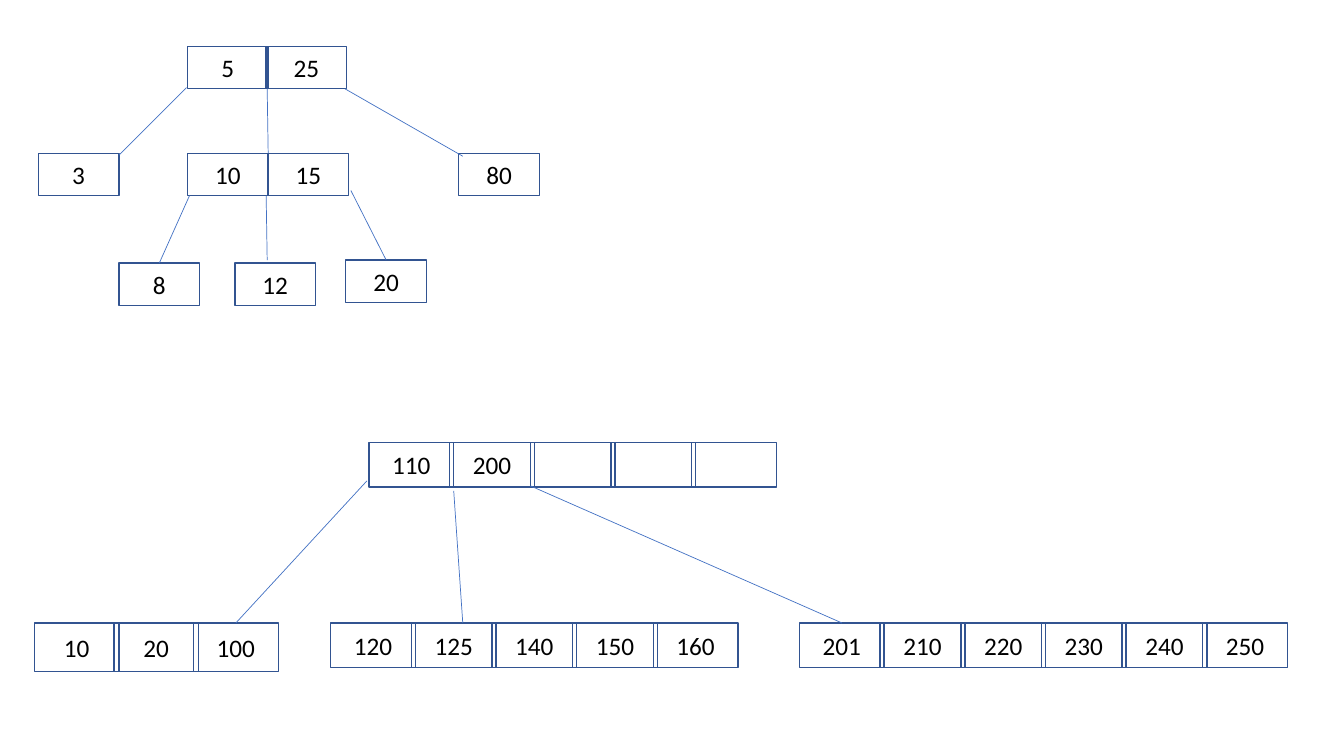
"""Draw a 2-3 tree above a wider B-tree as rows of key cells."""
import dataclasses

import pptx
import pptx.dml.color
import pptx.enum.shapes
import pptx.enum.text
import pptx.oxml
import pptx.util

Inches = pptx.util.Inches


@dataclasses.dataclass(frozen=True)
class Theme:
    font: str = "Calibri"
    size: float = 18
    ink: str = "000000"
    edge: str = "325491"
    link: str = "4472C4"
    border: float = 1
    thin: float = 0.5


THEME = Theme()


def color(code):
    return pptx.dml.color.RGBColor.from_string(code)


def add_cell(slide, left, top, width, height, key):
    kind = pptx.enum.shapes.MSO_SHAPE.RECTANGLE
    cell = slide.shapes.add_shape(
        kind, Inches(left), Inches(top), Inches(width), Inches(height))
    cell.shadow.inherit = False
    cell.fill.background()
    cell.line.color.rgb = color(THEME.edge)
    cell.line.width = pptx.util.Pt(THEME.border)
    if key:
        frame = cell.text_frame
        frame.text = key
        frame.vertical_anchor = pptx.enum.text.MSO_ANCHOR.MIDDLE
        para = frame.paragraphs[0]
        para.alignment = pptx.enum.text.PP_ALIGN.CENTER
        font = para.runs[0].font
        font.name = THEME.font
        font.size = pptx.util.Pt(THEME.size)
        font.color.rgb = color(THEME.ink)
    return cell


def add_node(slide, left, top, keys, width=0.8, height=0.42, step=0.8):
    return [add_cell(slide, left + i * step, top, width, height, key)
            for i, key in enumerate(keys)]


def add_link(slide, start, end, child=None):
    kind = pptx.enum.shapes.MSO_CONNECTOR.STRAIGHT
    link = slide.shapes.add_connector(kind, *map(Inches, start + end))
    link.line.color.rgb = color(THEME.link)
    link.line.width = pptx.util.Pt(THEME.thin)
    props = link._element.spPr
    props.append(pptx.oxml.parse_xml(
        '<a:effectLst xmlns:a="http://schemas.openxmlformats.org/drawingml/2006/main"/>'))
    if child is not None:
        link.end_connect(child, 0)


def draw_small(slide):
    add_node(slide, 1.86, 0.46, ["5", "25"], step=0.78)
    add_node(slide, 0.38, 1.52, ["3"])
    add_node(slide, 1.86, 1.52, ["10", "15"])
    add_node(slide, 4.55, 1.52, ["80"])
    eight, = add_node(slide, 1.18, 2.61, ["8"])
    add_node(slide, 2.33, 2.61, ["12"])
    twenty, = add_node(slide, 3.43, 2.58, ["20"])

    add_link(slide, (1.85, 0.87), (1.18, 1.54))
    add_link(slide, (2.65, 0.88), (2.66, 1.52))
    add_link(slide, (3.42, 0.88), (4.59, 1.55))
    add_link(slide, (1.88, 1.94), (1.58, 2.61), eight)
    add_link(slide, (2.64, 1.94), (2.65, 2.58))
    add_link(slide, (3.48, 1.89), (3.83, 2.58), twenty)


def draw_wide(slide):
    size = {"width": 0.84, "height": 0.44}
    base = 6.18
    add_node(slide, 3.66, 4.39, ["110", "200", "", "", ""], **size)
    low = add_node(slide, 0.34, base, ["10", "20", "100"],
                   width=0.84, height=0.48, step=0.79)
    add_node(slide, 3.28, base, ["120", "125", "140", "150", "160"], **size)
    high = add_node(slide, 7.93, base,
                    ["201", "210", "220", "230", "240", "250"], **size)

    add_link(slide, (3.64, 4.77), (2.34, base), low[-1])
    add_link(slide, (4.5, 4.87), (4.59, base))
    add_link(slide, (5.26, 4.82), (8.35, base), high[0])


def main():
    deck = pptx.Presentation()
    deck.slide_width = Inches(13.33)
    deck.slide_height = Inches(7.5)
    slide = deck.slides.add_slide(deck.slide_layouts[6])
    draw_small(slide)
    draw_wide(slide)
    deck.save("out.pptx")


if __name__ == "__main__":
    main()
